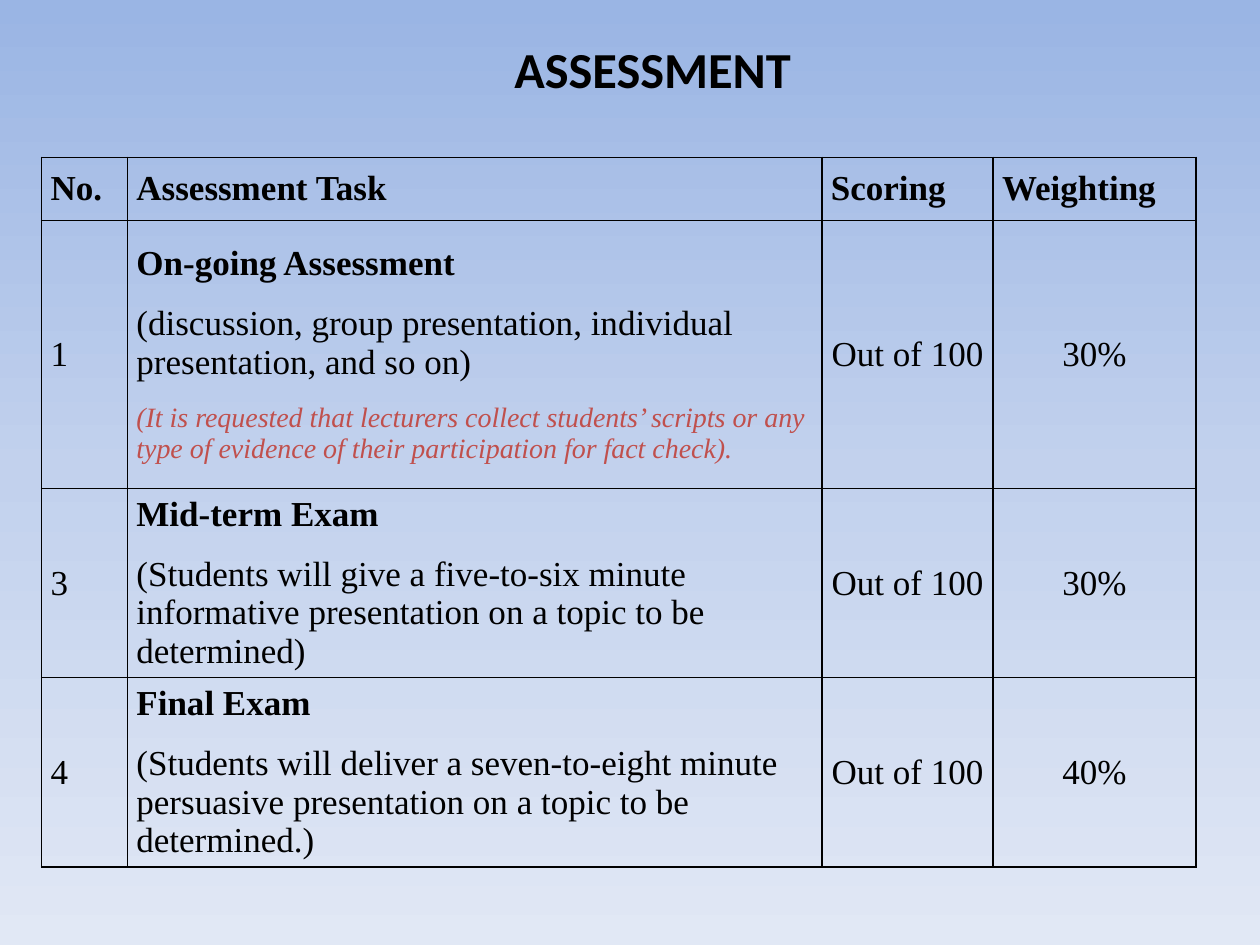
"""Build the course assessment slide with its table of tasks and weightings."""
from copy import deepcopy

from lxml import etree
from pptx import Presentation
from pptx import util as u
from pptx.dml.color import RGBColor
from pptx.enum import text
from pptx.oxml.ns import qn

BLACK = RGBColor(0x00, 0x00, 0x00)
RED = RGBColor(0xC0, 0x50, 0x4D)
SKY_TOP = RGBColor(0x9A, 0xB5, 0xE4)
SKY_MIDDLE = RGBColor(0xC2, 0xD1, 0xED)
SKY_BOTTOM = RGBColor(0xE1, 0xE8, 0xF5)

COLUMN_WIDTHS = [1.73, 14, 3.45, 4.09]
ROW_HEIGHTS = [1.27, 5.41, 3.81, 3.81]
HEADINGS = ["No.", "Assessment Task", "Scoring", "Weighting"]
TASKS = [
    ("1", ["On-going Assessment",
           "(discussion, group presentation, individual presentation, and so on)",
           "(It is requested that lecturers collect students’ scripts or any type "
           "of evidence of their participation for fact check)."], "30%"),
    ("3", ["Mid-term Exam",
           "(Students will give a five-to-six minute informative presentation "
           "on a topic to be determined)"], "30%"),
    ("4", ["Final Exam",
           "(Students will deliver a seven-to-eight minute persuasive presentation "
           "on a topic to be determined.)"], "40%"),
]


def add_run(paragraph, words, size, bold=False, name="Times New Roman", color=BLACK):
    run = paragraph.add_run()
    run.text = words
    run.font.name = name
    run.font.size = u.Pt(size)
    run.font.bold = bold
    run.font.color.rgb = color
    return run


def add_borders(cell):
    properties = cell._tc.get_or_add_tcPr()
    for side in ("a:lnL", "a:lnR", "a:lnT", "a:lnB"):
        line = etree.SubElement(properties, qn(side), w=str(u.Pt(1)))
        fill = etree.SubElement(line, qn("a:solidFill"))
        etree.SubElement(fill, qn("a:srgbClr"), val=str(BLACK))


presentation = Presentation()
presentation.slide_width = u.Cm(25.4)
presentation.slide_height = u.Cm(19.05)
slide = presentation.slides.add_slide(presentation.slide_layouts[6])

background = slide.background.fill
background.gradient()
background.gradient_angle = 270
stop_list = next(slide.element.iter(qn("a:gsLst")))
stop_list.append(deepcopy(stop_list[0]))
sky = [(0, SKY_TOP), (0.5, SKY_MIDDLE), (1, SKY_BOTTOM)]
for stop, (position, color) in zip(background.gradient_stops, sky):
    stop.position = position
    stop.color.rgb = color

title = slide.shapes.add_textbox(u.Cm(2.34), u.Cm(0.66), u.Cm(21.64), u.Cm(1.45))
title.text_frame.word_wrap = True
title.text_frame.vertical_anchor = text.MSO_ANCHOR.MIDDLE
paragraph = title.text_frame.paragraphs[0]
paragraph.alignment = text.PP_ALIGN.CENTER
add_run(paragraph, "ASSESSMENT", 28.8, bold=True, name="Calibri")

table = slide.shapes.add_table(
    len(ROW_HEIGHTS), len(COLUMN_WIDTHS), u.Cm(0.84), u.Cm(3.17),
    u.Cm(sum(COLUMN_WIDTHS)), u.Cm(sum(ROW_HEIGHTS))).table
table.first_row = False
table.horz_banding = False
for column, width in zip(table.columns, COLUMN_WIDTHS):
    column.width = u.Cm(width)
for row, height in zip(table.rows, ROW_HEIGHTS):
    row.height = u.Cm(height)

rows = [[[heading] for heading in HEADINGS]]
rows += [[[number], task, ["Out of 100"], [weight]] for number, task, weight in TASKS]

for row_index, row in enumerate(rows):
    for column_index, lines in enumerate(row):
        cell = table.cell(row_index, column_index)
        cell.vertical_anchor = text.MSO_ANCHOR.MIDDLE
        cell.margin_left = cell.margin_right = u.Cm(0.18)
        cell.margin_top = cell.margin_bottom = 0
        add_borders(cell)
        cell.fill.background()
        for line_index, words in enumerate(lines):
            if line_index == 0:
                paragraph = cell.text_frame.paragraphs[0]
            else:
                paragraph = cell.text_frame.add_paragraph()
                paragraph.space_before = u.Pt(12)
            centred = row_index > 0 and column_index > 1
            paragraph.alignment = text.PP_ALIGN.CENTER if centred else text.PP_ALIGN.LEFT
            if line_index == 2:
                add_run(paragraph, words, 16, color=RED).font.italic = True
            else:
                bold = row_index == 0 or (column_index == 1 and line_index == 0)
                add_run(paragraph, words, 20, bold=bold)

presentation.save("out.pptx")
